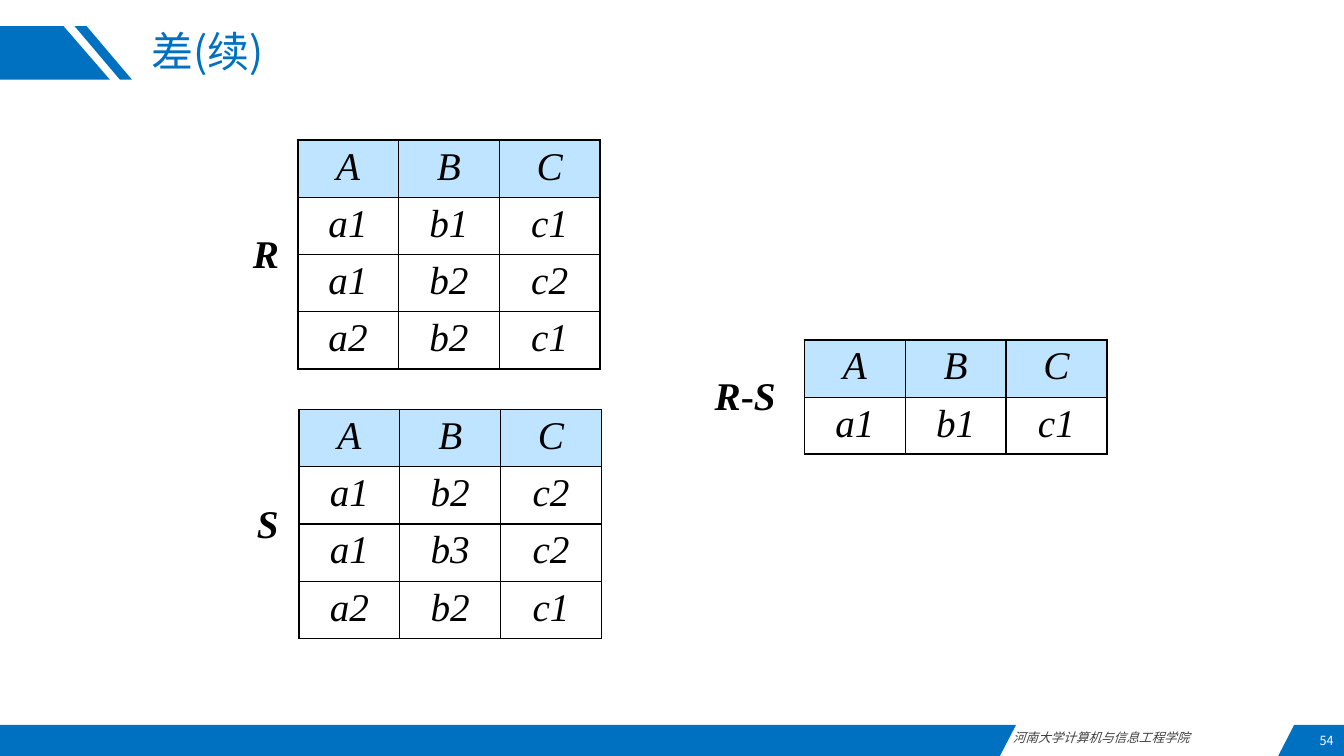
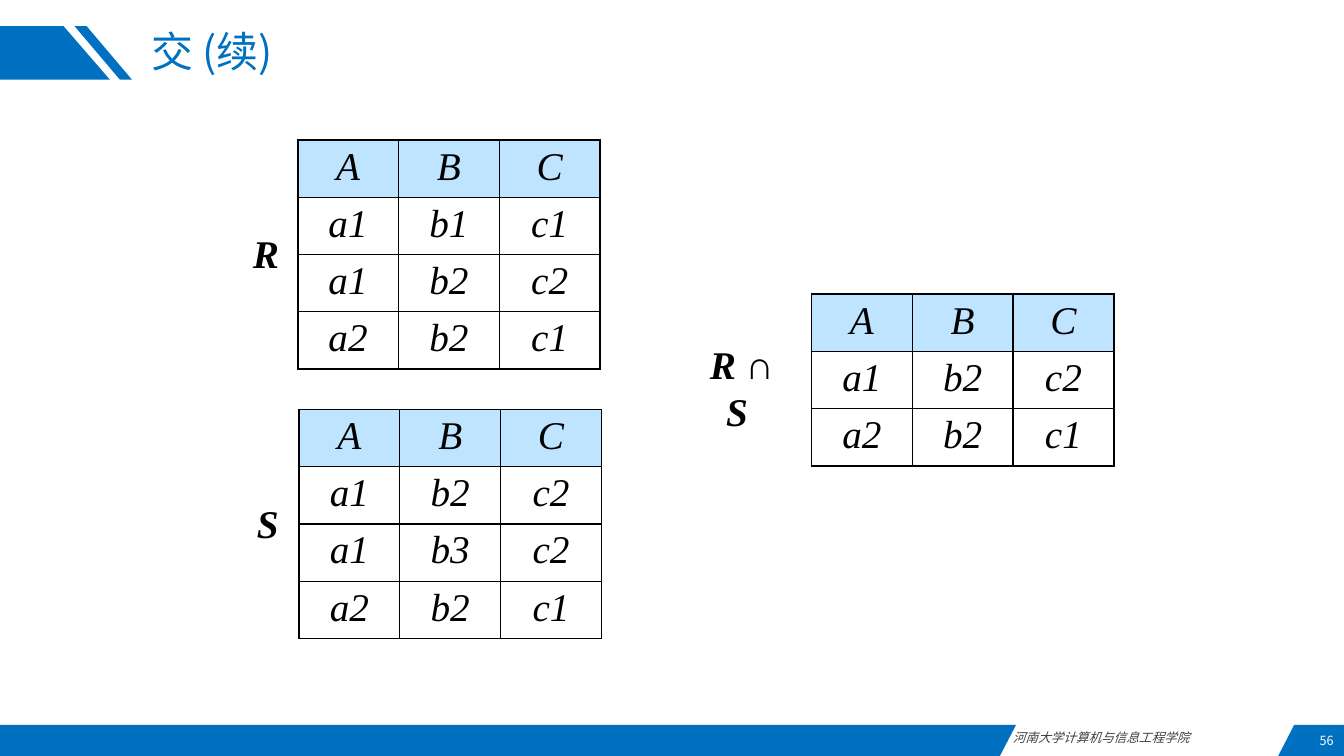
import pptx
import pptx.dml.color
import pptx.enum.text
import pptx.oxml.ns
import pptx.util
import lxml.etree

Pt = pptx.util.Pt
ALIGN = pptx.enum.text.PP_ALIGN
ANCHOR = pptx.enum.text.MSO_ANCHOR

COLORS = {"brand": "0070C0", "header": "BFE4FF", "ink": "000000",
          "footer": "404040", "white": "FFFFFF"}
SANS = "Noto Sans CJK SC"
SERIF = "Times New Roman"
SLIDE_WIDTH, SLIDE_HEIGHT = 960, 540
COLUMN_WIDTH, ROW_HEIGHT = 72, 40.9
OUTER_BORDER, INNER_BORDER = 1.5, 1

BAND_TOP = 517.7
BANDS = [
    [(0, 18.7), (45.4, 18.7), (78.5, 56.9), (0, 56.9)],
    [(61.9, 18.7), (94.3, 56.9), (85.7, 56.9), (53.3, 18.7)],
    [(0, BAND_TOP), (725.8, BAND_TOP), (714.2, SLIDE_HEIGHT), (0, SLIDE_HEIGHT)],
    [(924.5, BAND_TOP), (SLIDE_WIDTH, BAND_TOP),
     (SLIDE_WIDTH, SLIDE_HEIGHT), (913, SLIDE_HEIGHT)],
]

HEADER = ["A", "B", "C"]
RELATION_R = [HEADER, ["a1", "b1", "c1"], ["a1", "b2", "c2"], ["a2", "b2", "c1"]]
RELATION_S = [HEADER, ["a1", "b2", "c2"], ["a1", "b3", "c2"], ["a2", "b2", "c1"]]
DIFFERENCE = [HEADER, ["a1", "b1", "c1"]]
INTERSECTION = [HEADER, ["a1", "b2", "c2"], ["a2", "b2", "c1"]]


def rgb(name):
    return pptx.dml.color.RGBColor.from_string(COLORS[name])


def add_run(paragraph, text, face, size, color, bold=False, italic=False):
    run = paragraph.add_run()
    run.text = text
    font = run.font
    font.name, font.size, font.bold, font.italic = face, Pt(size), bold, italic
    font.color.rgb = rgb(color)
    east_asian = lxml.etree.SubElement(font._element, pptx.oxml.ns.qn("a:ea"))
    east_asian.set("typeface", face)


def add_text_box(slide, left, top, width, height, align, anchor, wrap=True):
    """Add an empty text box and return it with its first paragraph."""
    box = slide.shapes.add_textbox(Pt(left), Pt(top), Pt(width), Pt(height))
    frame = box.text_frame
    frame.word_wrap = wrap
    frame.vertical_anchor = anchor
    frame.paragraphs[0].alignment = align
    return box, frame.paragraphs[0]


def add_band(slide, corners):
    points = [(Pt(x), Pt(y)) for x, y in corners]
    builder = slide.shapes.build_freeform(*points[0])
    builder.add_line_segments(points[1:], close=True)
    band = builder.convert_to_shape()
    band.shadow.inherit = False
    band.fill.solid()
    band.fill.fore_color.rgb = rgb("brand")
    band.line.fill.background()
    return band


def dress_layout(layout, slide):
    """Build the bands and footer on the slide, then move them to its layout."""
    for placeholder in list(layout.placeholders):
        if placeholder.placeholder_format.idx != 0:
            layout.shapes.element.remove(placeholder.element)
    decoration = [add_band(slide, corners) for corners in BANDS]
    footer, paragraph = add_text_box(slide, 716.4, BAND_TOP, 196.6, 18,
                                     ALIGN.JUSTIFY, ANCHOR.TOP)
    add_run(paragraph, "河南大学计算机与信息工程学院", SANS, 9, "footer", italic=True)
    for shape in decoration + [footer]:
        layout.shapes.element.append(shape.element)


def set_title(slide, text):
    title = slide.shapes.title
    title.left, title.top = Pt(100.8), Pt(18.7)
    title.width, title.height = Pt(752.4), Pt(40.3)
    frame = title.text_frame
    frame.auto_size = pptx.enum.text.MSO_AUTO_SIZE.NONE
    frame.vertical_anchor = ANCHOR.MIDDLE
    paragraph = frame.paragraphs[0]
    paragraph.alignment = ALIGN.LEFT
    paragraph.line_spacing = 0.9
    add_run(paragraph, text, SANS, 30, "brand")


def add_page_number(slide, number):
    _, paragraph = add_text_box(slide, 859.7, 518.4, 100, 21.6,
                                ALIGN.RIGHT, ANCHOR.MIDDLE)
    add_run(paragraph, str(number), SANS, 9, "white")


def add_label(slide, left, top, width, *parts):
    """Name a relation; each part is its text and whether it is italic."""
    _, paragraph = add_text_box(slide, left, top, width, 66.2,
                                ALIGN.CENTER, ANCHOR.MIDDLE, wrap=False)
    for text, italic in parts:
        add_run(paragraph, text, SERIF, 28, "ink", bold=True, italic=italic)


def set_borders(cell, outer_sides):
    properties = cell._tc.get_or_add_tcPr()
    for side in "LRTB":
        weight = OUTER_BORDER if side in outer_sides else INNER_BORDER
        border = lxml.etree.SubElement(properties, pptx.oxml.ns.qn("a:ln" + side))
        border.set("w", str(Pt(weight)))
        fill = lxml.etree.SubElement(border, pptx.oxml.ns.qn("a:solidFill"))
        color = lxml.etree.SubElement(fill, pptx.oxml.ns.qn("a:srgbClr"))
        color.set("val", COLORS["ink"])


def add_relation(slide, left, top, rows):
    last_row, last_column = len(rows) - 1, len(HEADER) - 1
    relation = slide.shapes.add_table(
        len(rows), len(HEADER), Pt(left), Pt(top),
        Pt(COLUMN_WIDTH * len(HEADER)), Pt(ROW_HEIGHT * len(rows))).table
    relation.first_row = relation.horz_banding = False
    for r, values in enumerate(rows):
        for c, value in enumerate(values):
            cell = relation.cell(r, c)
            edges = {"L": c == 0, "R": c == last_column,
                     "T": r == 0, "B": r == last_row}
            set_borders(cell, [side for side, is_outer in edges.items() if is_outer])
            if r == 0:
                cell.fill.solid()
                cell.fill.fore_color.rgb = rgb("header")
            else:
                cell.fill.background()
            paragraph = cell.text_frame.paragraphs[0]
            paragraph.alignment = ALIGN.CENTER
            add_run(paragraph, value, SERIF, 28, "ink", italic=True)


def add_operands(slide):
    add_relation(slide, 212.6, 100, RELATION_R)
    add_relation(slide, 213.6, 292.5, RELATION_S)
    add_label(slide, 173.5, 147.6, 23.8, ("R", True))
    add_label(slide, 176.4, 340.6, 23.8, ("S", True))


def main():
    deck = pptx.Presentation()
    deck.slide_width, deck.slide_height = Pt(SLIDE_WIDTH), Pt(SLIDE_HEIGHT)
    layout = deck.slide_layouts.get_by_name("Title Only")

    difference = deck.slides.add_slide(layout)
    dress_layout(layout, difference)
    set_title(difference, "差(续)")
    add_relation(difference, 574.6, 242.8, DIFFERENCE)
    add_label(difference, 502.6, 249.1, 66.2, ("R", True), ("-", False), ("S ", True))
    add_operands(difference)
    add_page_number(difference, 54)

    intersection = deck.slides.add_slide(layout)
    set_title(intersection, "交 (续)")
    add_relation(intersection, 579.6, 210.2, INTERSECTION)
    add_label(intersection, 496.8, 243.4, 66.2,
              ("R ", True), ("∩", False), (" S ", True))
    add_operands(intersection)
    add_page_number(intersection, 56)

    deck.save("out.pptx")


if __name__ == "__main__":
    main()
